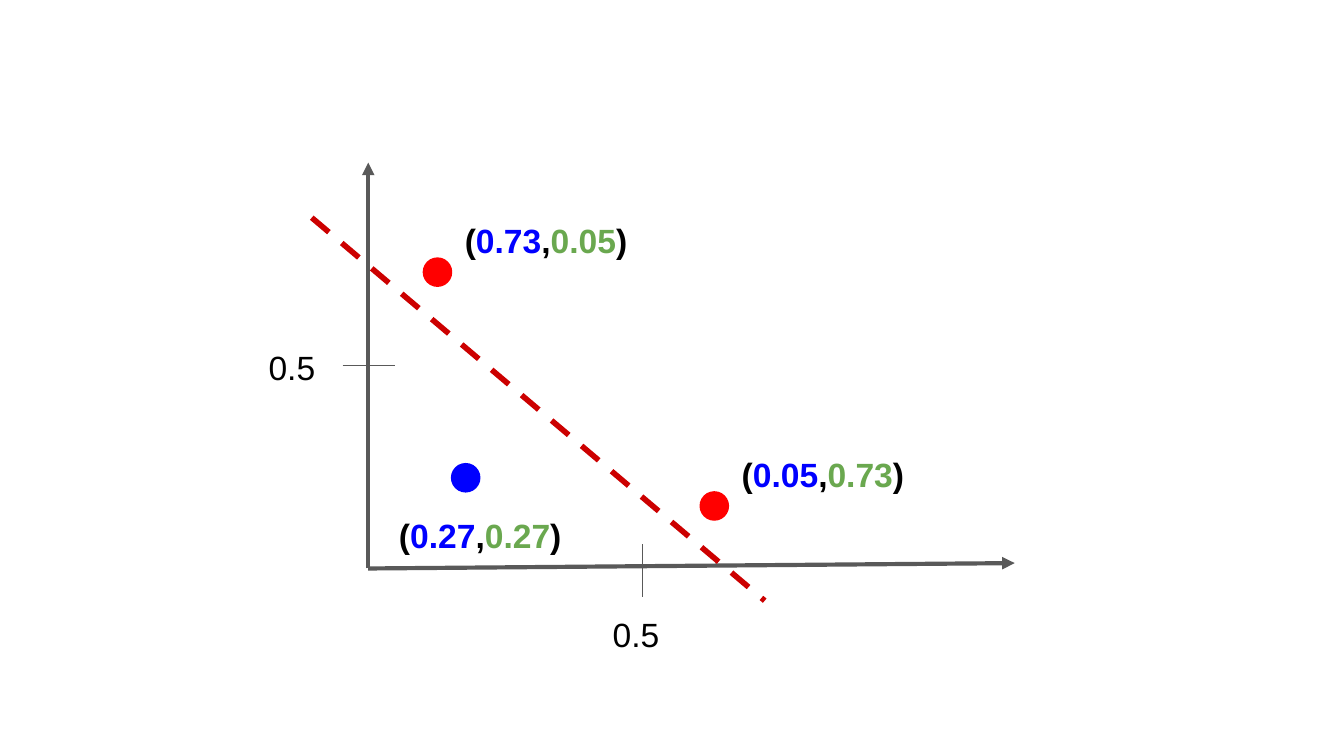
import dataclasses
import pptx
import pptx.util
import pptx.dml.color
import pptx.enum.dml
import pptx.enum.shapes
import pptx.oxml
import pptx.oxml.ns


@dataclasses.dataclass(frozen=True)
class Theme:
    font: str = "Arial"
    size: float = 18
    ink: str = "000000"
    axis: str = "595959"
    red: str = "FF0000"
    blue: str = "0000FF"
    green: str = "6AA84F"
    split: str = "CC0000"
    thin: float = 0.75
    mid: float = 2.25
    thick: float = 3


@dataclasses.dataclass(frozen=True)
class Box:
    """An area of the slide, in grid cells."""
    left: float
    top: float
    width: float
    height: float

    def place(self, x, y):
        return cells(self.left + x), cells(self.top + y)


THEME = Theme()
WIDTH = 10
HEIGHT = WIDTH * 9 / 16
COLS = 100
DOT = 2.1


def cells(count):
    """Turn a count of square grid cells into a length."""
    return pptx.util.Inches(count * WIDTH / COLS)


def color(code):
    return pptx.dml.color.RGBColor.from_string(code)


def add_text(slide, box, x, y, runs, width, height, bold=False):
    """Write (text, colour) runs at a place inside the box."""
    label = slide.shapes.add_textbox(*box.place(x, y), cells(width), cells(height))
    frame = label.text_frame
    frame.word_wrap = True
    frame.margin_left = frame.margin_right = cells(1)
    frame.margin_top = frame.margin_bottom = cells(1)
    for text, code in runs:
        run = frame.paragraphs[0].add_run()
        run.text = text
        run.font.name = THEME.font
        run.font.size = pptx.util.Pt(THEME.size)
        run.font.bold = bold
        run.font.color.rgb = color(code)


def add_line(slide, box, start, end, code, weight, arrow=False, dash=False):
    line = slide.shapes.add_connector(
        pptx.enum.shapes.MSO_CONNECTOR.STRAIGHT, *box.place(*start), *box.place(*end))
    line.line.color.rgb = color(code)
    line.line.width = pptx.util.Pt(weight)
    if dash:
        line.line.dash_style = pptx.enum.dml.MSO_LINE.DASH
    props = line._element.spPr
    names = pptx.oxml.ns.nsdecls("a")
    if arrow:
        props.find(pptx.oxml.ns.qn("a:ln")).append(
            pptx.oxml.parse_xml(f'<a:tailEnd {names} type="triangle"/>'))
    props.append(pptx.oxml.parse_xml(f"<a:effectLst {names}/>"))


def add_axes(slide, box):
    base = (0, box.height)
    for end in ((0, 0), (box.width, box.height - 0.4)):
        add_line(slide, box, base, end, THEME.axis, THEME.mid, arrow=True)
    row, col = box.height / 2, 20.4
    ticks = (
        ((-1.9, row), (2, row), (-8.4, 12.7)),
        ((col, box.height - 1.8), (col, box.height + 2.1), (17.2, 32.6)),
    )
    for start, end, spot in ticks:
        add_line(slide, box, start, end, THEME.axis, THEME.thin)
        add_text(slide, box, *spot, [("0.5", THEME.ink)], 6.4, 4.7)


def add_point(slide, box, x, y, code, pair, shift):
    """Draw a dot and, shifted from its corner, its pair of values."""
    dot = slide.shapes.add_shape(
        pptx.enum.shapes.MSO_SHAPE.OVAL, *box.place(x, y), cells(DOT), cells(DOT))
    dot.shadow.inherit = False
    dot.fill.solid()
    dot.fill.fore_color.rgb = color(code)
    dot.line.color.rgb = color(code)
    dot.line.width = pptx.util.Pt(THEME.thin)
    first, second = pair
    runs = [("(", THEME.ink), (first, THEME.blue), (",", THEME.ink),
            (second, THEME.green), (")", THEME.ink)]
    add_text(slide, box, x + shift[0], y + shift[1], runs, 15.9, 3.8, bold=True)


def add_plot(slide, box):
    add_axes(slide, box)
    beside, below = (DOT, -3.85), (-4.9, 2.8)
    points = (
        (4.1, 7.1, THEME.red, ("0.73", "0.05"), beside),
        (24.7, 24.5, THEME.red, ("0.05", "0.73"), beside),
        (6.2, 22.4, THEME.blue, ("0.27", "0.27"), below),
    )
    for point in points:
        add_point(slide, box, *point)
    add_line(slide, box, (-4.2, 4.1), (29.5, 32.6), THEME.split, THEME.thick, dash=True)


def main():
    deck = pptx.Presentation()
    deck.slide_width = pptx.util.Inches(WIDTH)
    deck.slide_height = pptx.util.Inches(HEIGHT)
    slide = deck.slides.add_slide(deck.slide_layouts[6])
    add_plot(slide, Box(27.4, 12.1, 48.1, 30.2))
    deck.save("out.pptx")


if __name__ == "__main__":
    main()
